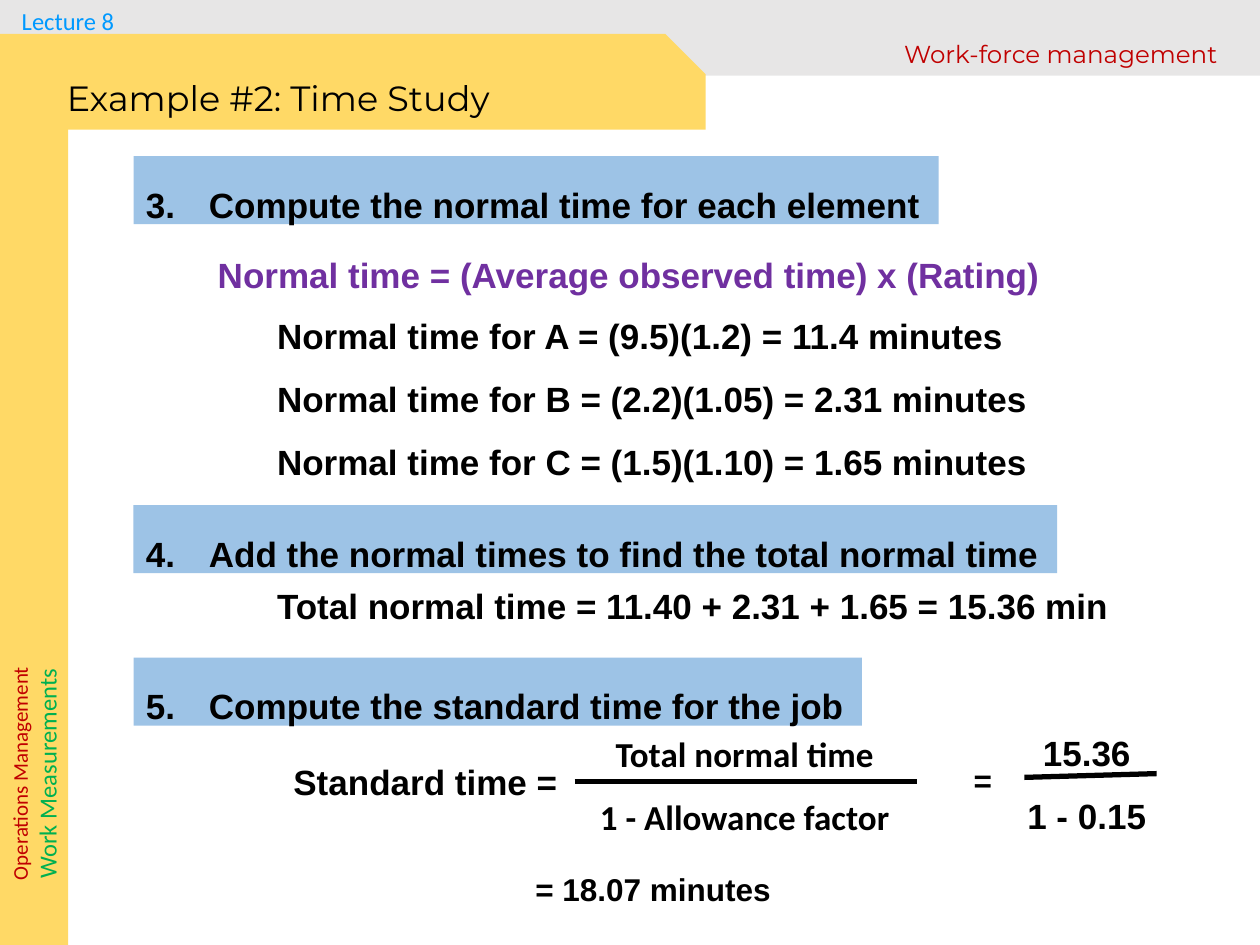
"""Build the time study example slide of the work measurement lecture."""
import pptx
import pptx.dml.color
import pptx.enum.shapes
import pptx.enum.text
import pptx.oxml.ns
import pptx.util
from lxml import etree
from pptx.util import Inches

COLORS = {
    "black": "000000", "white": "FFFFFF", "grey": "746E6E", "yellow": "FFD966",
    "blue": "9DC3E6", "purple": "7030A0", "red": "C00000", "green": "00B050",
    "sky": "0099FF",
}
SHAPES = pptx.enum.shapes.MSO_SHAPE
ALIGN = pptx.enum.text.PP_ALIGN
ANCHOR = pptx.enum.text.MSO_ANCHOR


def rgb(name):
    return pptx.dml.color.RGBColor.from_string(COLORS[name])


def add_child(parent, tag, **attributes):
    return etree.SubElement(parent, pptx.oxml.ns.qn(tag), attributes)


def write(para, text, size=20, font="Arial", color="black", bold=True,
          align=ALIGN.LEFT, spacing=1.0):
    para.alignment = align
    para.line_spacing = spacing
    span = para.add_run()
    span.text = text
    span.font.size = pptx.util.Pt(size)
    span.font.name = font
    span.font.bold = bold
    span.font.color.rgb = rgb(color)


class LectureSlide:
    def __init__(self, deck):
        self.slide = deck.slides.add_slide(deck.slide_layouts[5])
        self.slide.background.fill.solid()
        self.slide.background.fill.fore_color.rgb = rgb("white")
        self.target = self.slide.shapes

    def start_group(self):
        self.target = self.slide.shapes.add_group_shape().shapes

    def end_group(self):
        self.target = self.slide.shapes

    def panel(self, left, top, width, height, color, kind=SHAPES.RECTANGLE, alpha=None):
        panel = self.target.add_shape(
            kind, Inches(left), Inches(top), Inches(width), Inches(height))
        panel.shadow.inherit = False
        panel.fill.solid()
        panel.fill.fore_color.rgb = rgb(color)
        panel.line.fill.background()
        if alpha is not None:
            fill_color = panel.fill._xPr.find(".//" + pptx.oxml.ns.qn("a:srgbClr"))
            add_child(fill_color, "a:alpha", val=str(alpha * 1000))
        return panel

    def text(self, left, top, width, height, *lines, **style):
        box = self.target.add_textbox(
            Inches(left), Inches(top), Inches(width), Inches(height))
        frame = box.text_frame
        frame.word_wrap = False
        for index, line in enumerate(lines):
            para = frame.add_paragraph() if index else frame.paragraphs[0]
            write(para, line, **style)
        return box

    def step(self, number, top, width, text):
        panel = self.panel(1.06, top, width, 0.54, "blue")
        frame = panel.text_frame
        frame.word_wrap = False
        frame.vertical_anchor = ANCHOR.TOP
        para = frame.paragraphs[0]
        properties = para._p.get_or_add_pPr()
        properties.set("marL", str(Inches(0.5)))
        properties.set("indent", str(Inches(-0.5)))
        write(para, text, spacing=1.5)
        add_child(properties, "a:buFont", typeface="+mj-lt")
        add_child(properties, "a:buAutoNum", type="arabicPeriod", startAt=str(number))

    def rule(self, start, end):
        rule = self.target.add_connector(
            pptx.enum.shapes.MSO_CONNECTOR.STRAIGHT,
            *(Inches(value) for value in start + end))
        rule.line.color.rgb = rgb("black")
        rule.line.width = pptx.util.Pt(3)
        add_child(rule._element.spPr, "a:effectLst")

    def title(self, left, top, width, height, text, **style):
        title = self.slide.shapes.title
        title.left, title.top = Inches(left), Inches(top)
        title.width, title.height = Inches(width), Inches(height)
        title.text_frame.vertical_anchor = ANCHOR.MIDDLE
        write(title.text_frame.paragraphs[0], text, **style)
        self.slide.shapes.element.append(title.element)


def main():
    deck = pptx.Presentation()
    deck.slide_width, deck.slide_height = Inches(10), Inches(7.5)
    page = LectureSlide(deck)
    label = {"bold": False, "align": ALIGN.CENTER}

    page.panel(0, 0, 10, 0.6, "grey", alpha=17)
    tab = page.panel(-0.01, 0.27, 5.61, 0.76, "yellow", SHAPES.SNIP_1_RECTANGLE)
    tab.adjustments[0] = 0.42
    page.panel(-0.01, 0.87, 0.55, 6.63, "yellow")
    course = page.text(-0.76, 5.87, 2.07, 0.54, "Operations Management",
                       size=12, font="Calibri", color="red", **label)
    write(course.text_frame.add_paragraph(), "Work Measurements",
          size=14, font="Calibri", color="green", **label)
    course.rotation = 270
    page.text(0.04, 0, 1, 0.34, "Lecture 8", size=14, font="Calibri", color="sky", **label)

    page.step(3, 1.24, 6.39, "Compute the normal time for each element")
    page.text(2.1, 2.28, 6.19, 1.62,
              "Normal time for A = (9.5)(1.2) = 11.4 minutes",
              "Normal time for B = (2.2)(1.05) = 2.31 minutes",
              "Normal time for C = (1.5)(1.10) = 1.65 minutes", spacing=1.5)
    page.text(1.63, 1.96, 6.77, 0.44,
              "Normal time = (Average observed time) x (Rating)", color="purple")
    page.step(4, 4.01, 7.33, "Add the normal times to find the total normal time")
    page.text(2.1, 4.59, 6.99, 0.44, "Total normal time = 11.40 + 2.31 + 1.65 = 15.36 min")
    page.step(5, 5.22, 5.78, "Compute the standard time for the job")

    fraction = {"align": ALIGN.CENTER, "spacing": 1.5}
    page.start_group()
    page.text(2.23, 5.99, 2.31, 0.44, "Standard time =")
    page.text(4.65, 5.6, 2.52, 1.11, "Total normal time", "1 - Allowance factor",
              font="Calibri", **fraction)
    page.rule((4.56, 6.2), (7.28, 6.2))
    page.start_group()
    page.text(7.63, 5.99, 0.4, 0.4, "=", size=18)
    page.text(8.05, 5.59, 1.15, 1.11, "15.36", "1 - 0.15", **fraction)
    page.rule((8.13, 6.17), (9.18, 6.14))
    page.end_group()
    page.text(4.15, 6.86, 2.09, 0.4, "= 18.07 minutes", size=18)

    page.title(0.43, 0.57, 4.14, 0.45, "Example #2: Time Study",
               font="Montserrat", bold=False, spacing=0.9)
    page.text(7, 0.26, 2.84, 0.34, "Work-force management",
              size=14, font="Montserrat", color="red", **label)
    deck.save("out.pptx")


if __name__ == "__main__":
    main()
